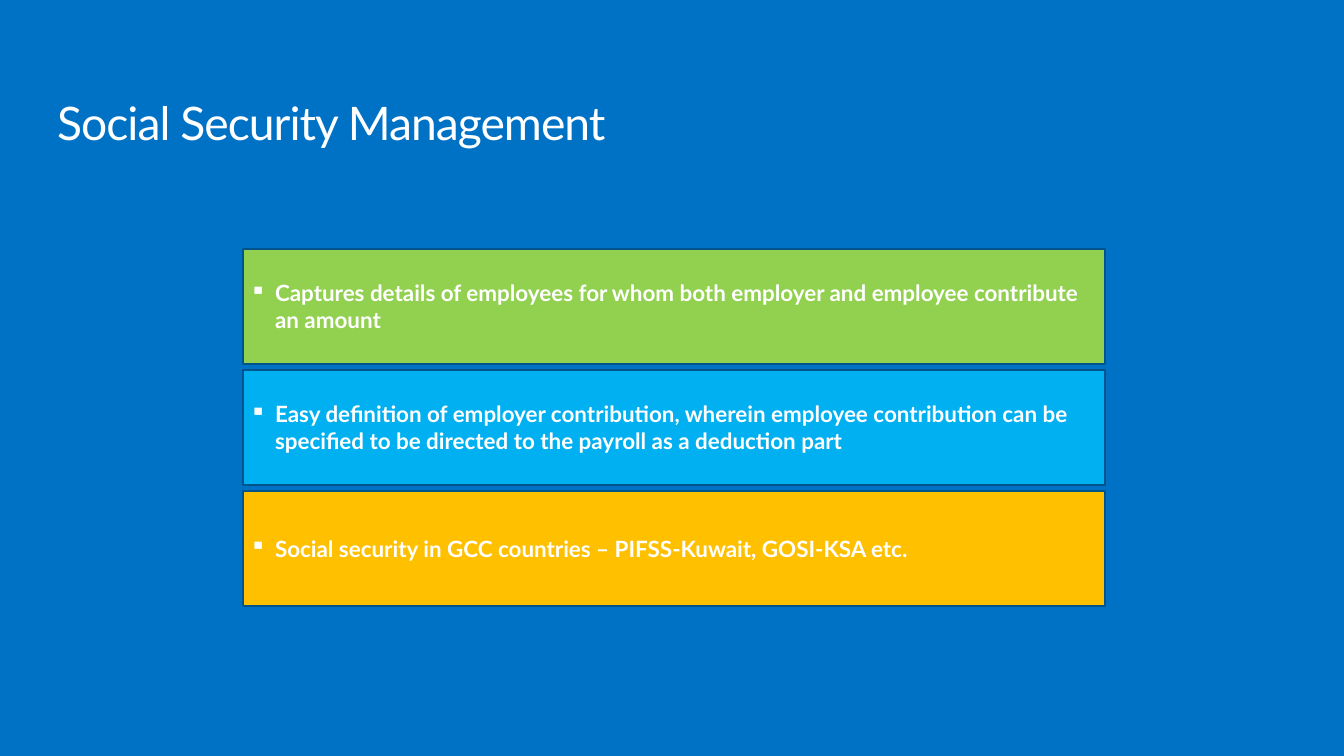
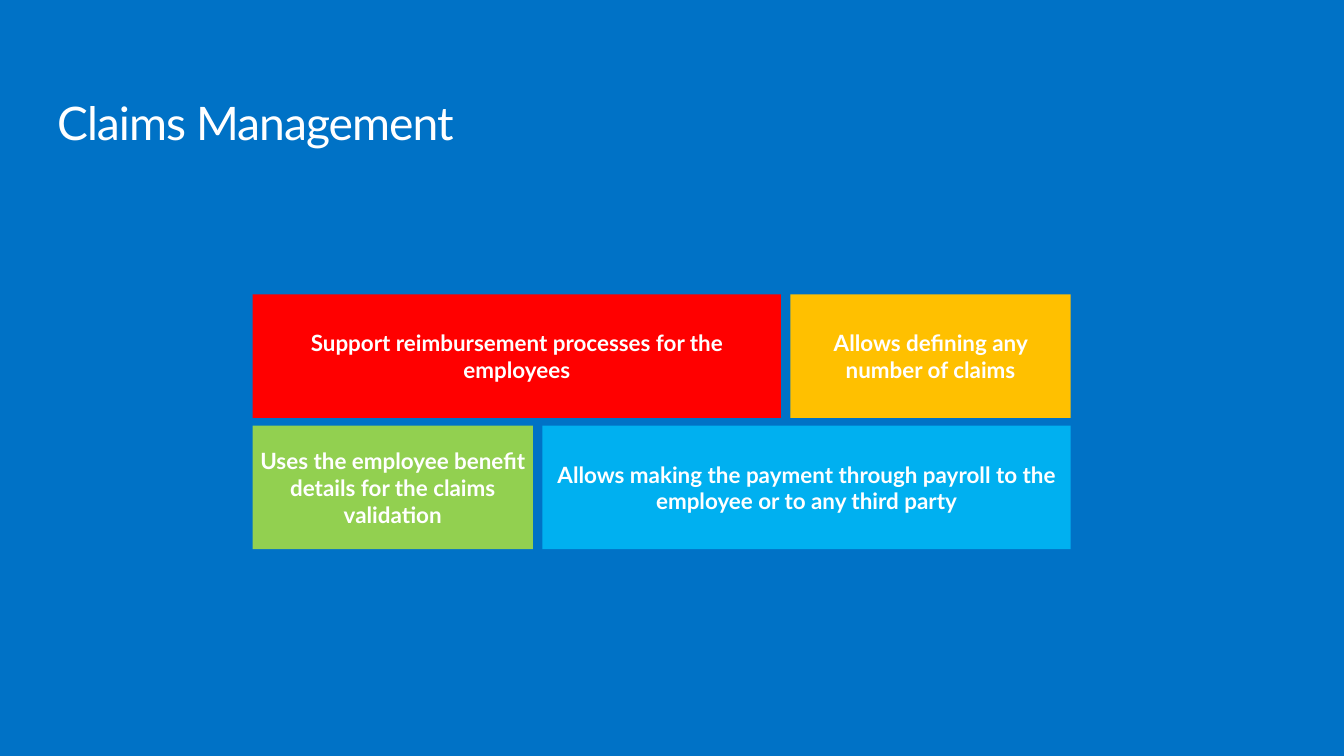
from dataclasses import dataclass

from lxml import etree
from pptx import Presentation
from pptx.dml.color import RGBColor as Rgb
from pptx.enum.shapes import MSO_SHAPE as Shape
from pptx.enum.text import MSO_ANCHOR as Anchor, PP_ALIGN as Align
from pptx.oxml.ns import qn
from pptx.util import Pt


@dataclass(frozen=True)
class Theme:
    background: str = "0072C6"
    text: str = "FFFFFF"
    outline: str = "00548B"
    green: str = "92D050"
    blue: str = "00B0F0"
    amber: str = "FFC000"
    red: str = "FF0000"
    font: str = "Lato"
    title_size: float = 49.5
    body_size: float = 24
    outline_width: float = 2


@dataclass(frozen=True)
class Box:
    left: float
    top: float
    width: float
    height: float

    def lengths(self):
        return Pt(self.left), Pt(self.top), Pt(self.width), Pt(self.height)


THEME = Theme()
PAGE_WIDTH, PAGE_HEIGHT = 1440, 810
TITLE_BOX = Box(61.2, 108, 1316.9, 54)
BENEFIT_BOX = Box(260.6, 266.4, 923.8, 383.1)
CLAIM_BOX = Box(270.7, 315.4, 876.4, 273.1)
BULLET_INDENT = 27

BENEFITS = [
    ("Captures details of employees for whom both employer and employee "
     "contribute an amount", THEME.green),
    ("Easy definition of employer contribution, wherein employee contribution "
     "can be specified to be directed to the payroll as a deduction part", THEME.blue),
    ("Social security in GCC countries – PIFSS-Kuwait, GOSI-KSA etc.", THEME.amber),
]
WIDE, NARROW = 566, 300.2
CLAIM_ROWS = [
    [("Support reimbursement processes for the employees", THEME.red, WIDE),
     ("Allows defining any number of claims", THEME.amber, NARROW)],
    [("Uses the employee benefit details for the claims validation", THEME.green, NARROW),
     ("Allows making the payment through payroll to the employee or to any third party",
      THEME.blue, WIDE)],
]


def style_font(font, size, bold=False):
    font.name = THEME.font
    font.size = Pt(size)
    font.bold = bold
    font.color.rgb = Rgb.from_string(THEME.text)


def add_page(deck, title):
    page = deck.slides.add_slide(deck.slide_layouts[6])
    page.background.fill.solid()
    page.background.fill.fore_color.rgb = Rgb.from_string(THEME.background)
    add_title(page, TITLE_BOX, title)
    return page


def add_title(page, box, title):
    frame = page.shapes.add_textbox(*box.lengths()).text_frame
    frame.word_wrap = True
    frame.margin_left = frame.margin_right = frame.margin_top = frame.margin_bottom = 0
    para = frame.paragraphs[0]
    span = para.add_run()
    span.text = title
    span.font._element.set("spc", "-100")
    para.line_spacing = 0.9
    style_font(para.font, THEME.title_size)


def add_panel(page, box, text, colour):
    panel = page.shapes.add_shape(Shape.RECTANGLE, *box.lengths())
    panel.shadow.inherit = False
    panel.fill.solid()
    panel.fill.fore_color.rgb = Rgb.from_string(colour)
    panel.line.fill.background()
    frame = panel.text_frame
    frame.word_wrap = True
    frame.vertical_anchor = Anchor.MIDDLE
    para = frame.paragraphs[0]
    para.text = text
    para.alignment = Align.CENTER
    return panel


def add_bullet(para):
    para.alignment = Align.LEFT
    properties = para._p.get_or_add_pPr()
    properties.set("marL", str(Pt(BULLET_INDENT)))
    properties.set("indent", str(-Pt(BULLET_INDENT)))
    etree.SubElement(properties, qn("a:buChar"), char="▪")


def add_benefits(page, box, benefits, gap=5.8):
    height = (box.height - gap * (len(benefits) - 1)) / len(benefits)
    for index, (text, colour) in enumerate(benefits):
        top = box.top + index * (height + gap)
        panel = add_panel(page, Box(box.left, top, box.width, height), text, colour)
        panel.line.color.rgb = Rgb.from_string(THEME.outline)
        panel.line.width = Pt(THEME.outline_width)
        para = panel.text_frame.paragraphs[0]
        add_bullet(para)
        style_font(para.font, THEME.body_size, bold=True)


def add_claims(page, box, rows, column_gap=10.2, row_gap=8.3):
    height = (box.height - row_gap * (len(rows) - 1)) / len(rows)
    for index, row in enumerate(rows):
        left = box.left
        top = box.top + index * (height + row_gap)
        for text, colour, width in row:
            panel = add_panel(page, Box(left, top, width, height), text, colour)
            style_font(panel.text_frame.paragraphs[0].font, THEME.body_size, bold=True)
            left += width + column_gap


def main():
    deck = Presentation()
    deck.slide_width, deck.slide_height = Pt(PAGE_WIDTH), Pt(PAGE_HEIGHT)
    add_benefits(add_page(deck, "Social Security Management"), BENEFIT_BOX, BENEFITS)
    add_claims(add_page(deck, "Claims Management"), CLAIM_BOX, CLAIM_ROWS)
    deck.save("out.pptx")


if __name__ == "__main__":
    main()
